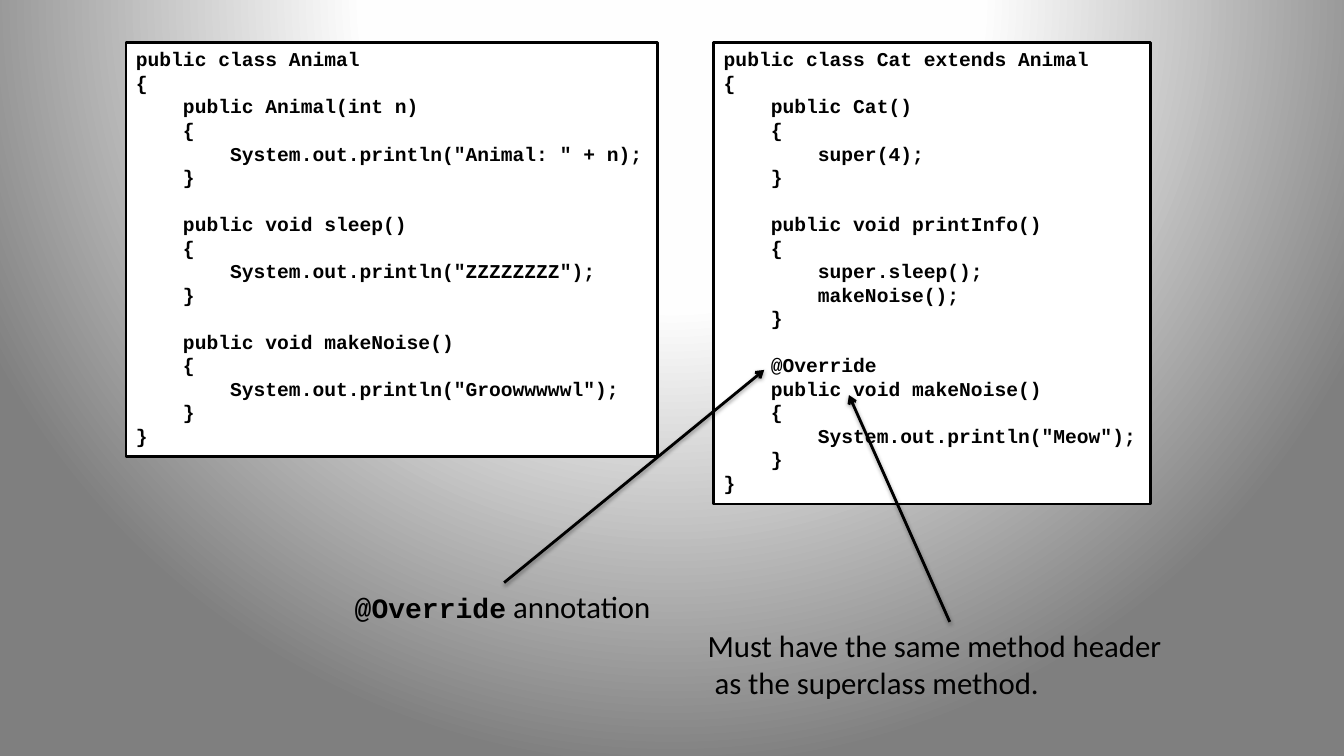
import pptx
import pptx.dml.color
import pptx.enum.dml
import pptx.enum.shapes
import pptx.enum.text
import pptx.oxml
import pptx.oxml.ns
import pptx.util

Inches = pptx.util.Inches
Pt = pptx.util.Pt
RGBColor = pptx.dml.color.RGBColor
qn = pptx.oxml.ns.qn

BLACK = RGBColor(0x00, 0x00, 0x00)
WHITE = RGBColor(0xFF, 0xFF, 0xFF)
CODE_FONT = "Courier New"
NOTE_FONT = "Calibri"
DRAWING = pptx.oxml.ns.nsdecls("a")

BACKGROUND = f"""<a:gradFill {DRAWING} rotWithShape="1">
  <a:gsLst>
    <a:gs pos="0"><a:srgbClr val="FFFFFF"/></a:gs>
    <a:gs pos="40000"><a:srgbClr val="FEFEFE"/></a:gs>
    <a:gs pos="100000"><a:srgbClr val="7F7F7F"/></a:gs>
  </a:gsLst>
  <a:path path="circle">
    <a:fillToRect l="50000" t="-80000" r="50000" b="180000"/>
  </a:path>
</a:gradFill>"""

ARROW_SHADOW = f"""<a:effectLst {DRAWING}>
  <a:outerShdw blurRad="{Pt(3.1)}" dist="{Pt(1.6)}" dir="5400000" rotWithShape="0">
    <a:srgbClr val="000000"><a:alpha val="38000"/></a:srgbClr>
  </a:outerShdw>
</a:effectLst>"""

ANIMAL_CODE = """public class Animal
{
    public Animal(int n)
    {
        System.out.println("Animal: " + n);
    }

    public void sleep()
    {
        System.out.println("ZZZZZZZZ");
    }

    public void makeNoise()
    {
        System.out.println("Groowwwwwl");
    }
}"""

CAT_CODE = """public class Cat extends Animal
{
    public Cat()
    {
        super(4);
    }

    public void printInfo()
    {
        super.sleep();
        makeNoise();
    }

    @Override
    public void makeNoise()
    {
        System.out.println("Meow");
    }
}"""


def add_text(paragraph, text, font=NOTE_FONT, size=22, bold=False, color=BLACK):
    """Append a formatted run; a line feed in the text becomes a line break."""
    for number, line in enumerate(text.split("\n")):
        if number:
            paragraph.add_line_break()
        run = paragraph.add_run()
        run.text = line
        run.font.name = font
        run.font.size = Pt(size)
        run.font.bold = bold
        run.font.color.rgb = color


class SlideBuilder:
    """Holds the line style and the slide being drawn."""

    def __init__(self, slide, line_width=2):
        self.slide = slide
        self.line_width = Pt(line_width)

    def gradient_background(self):
        fill = self.slide.background.fill
        fill.gradient()
        gradient = next(self.slide.element.iter(qn("a:gradFill")))
        gradient.getparent().replace(gradient, pptx.oxml.parse_xml(BACKGROUND))

    def code_box(self, code, left, top, width, height):
        shape = self.slide.shapes.add_shape(
            pptx.enum.shapes.MSO_SHAPE.RECTANGLE,
            Inches(left), Inches(top), Inches(width), Inches(height))
        shape.shadow.inherit = False
        shape.fill.solid()
        shape.fill.fore_color.rgb = WHITE
        shape.line.color.rgb = BLACK
        shape.line.width = self.line_width
        frame = shape.text_frame
        frame.word_wrap = False
        frame.vertical_anchor = pptx.enum.text.MSO_ANCHOR.TOP
        for number, line in enumerate(code.split("\n")):
            paragraph = frame.add_paragraph() if number else frame.paragraphs[0]
            paragraph.alignment = pptx.enum.text.PP_ALIGN.LEFT
            paragraph.line_spacing = Pt(16.8)
            paragraph.font.size = Pt(14)
            if line:
                add_text(paragraph, line, font=CODE_FONT, size=14, bold=True)

    def note(self, left, top, width, height):
        """Add an empty text box and return its paragraph."""
        shape = self.slide.shapes.add_textbox(
            Inches(left), Inches(top), Inches(width), Inches(height))
        shape.text_frame.word_wrap = False
        return shape.text_frame.paragraphs[0]

    def arrow(self, start, end):
        connector = self.slide.shapes.add_connector(
            pptx.enum.shapes.MSO_CONNECTOR.STRAIGHT,
            *(Inches(length) for length in (*start, *end)))
        connector.line.color.rgb = BLACK
        connector.line.width = self.line_width
        line = connector.line._get_or_add_ln()
        line.append(pptx.oxml.parse_xml(f'<a:tailEnd {DRAWING} type="arrow"/>'))
        line.getparent().append(pptx.oxml.parse_xml(ARROW_SHADOW))


def main():
    presentation = pptx.Presentation()
    presentation.slide_width = Inches(13.33)
    presentation.slide_height = Inches(7.5)
    blank_layout = presentation.slide_layouts[6]
    builder = SlideBuilder(presentation.slides.add_slide(blank_layout))

    builder.gradient_background()
    builder.code_box(ANIMAL_CODE, 1.25, 0.42, 5.27, 4.11)
    builder.code_box(CAT_CODE, 7.08, 0.42, 4.33, 4.58)

    override_note = builder.note(3.42, 5.78, 3.17, 0.47)
    add_text(override_note, "@Override", font=CODE_FONT, size=20, bold=True)
    add_text(override_note, " annotation")
    builder.arrow((5, 5.78), (7.58, 3.67))

    header_note = builder.note(6.92, 6.17, 4.77, 0.84)
    add_text(header_note, "Must have the same method header\n as the superclass method.")
    builder.arrow((9.42, 6.17), (8.42, 3.92))

    presentation.save("out.pptx")


if __name__ == "__main__":
    main()
